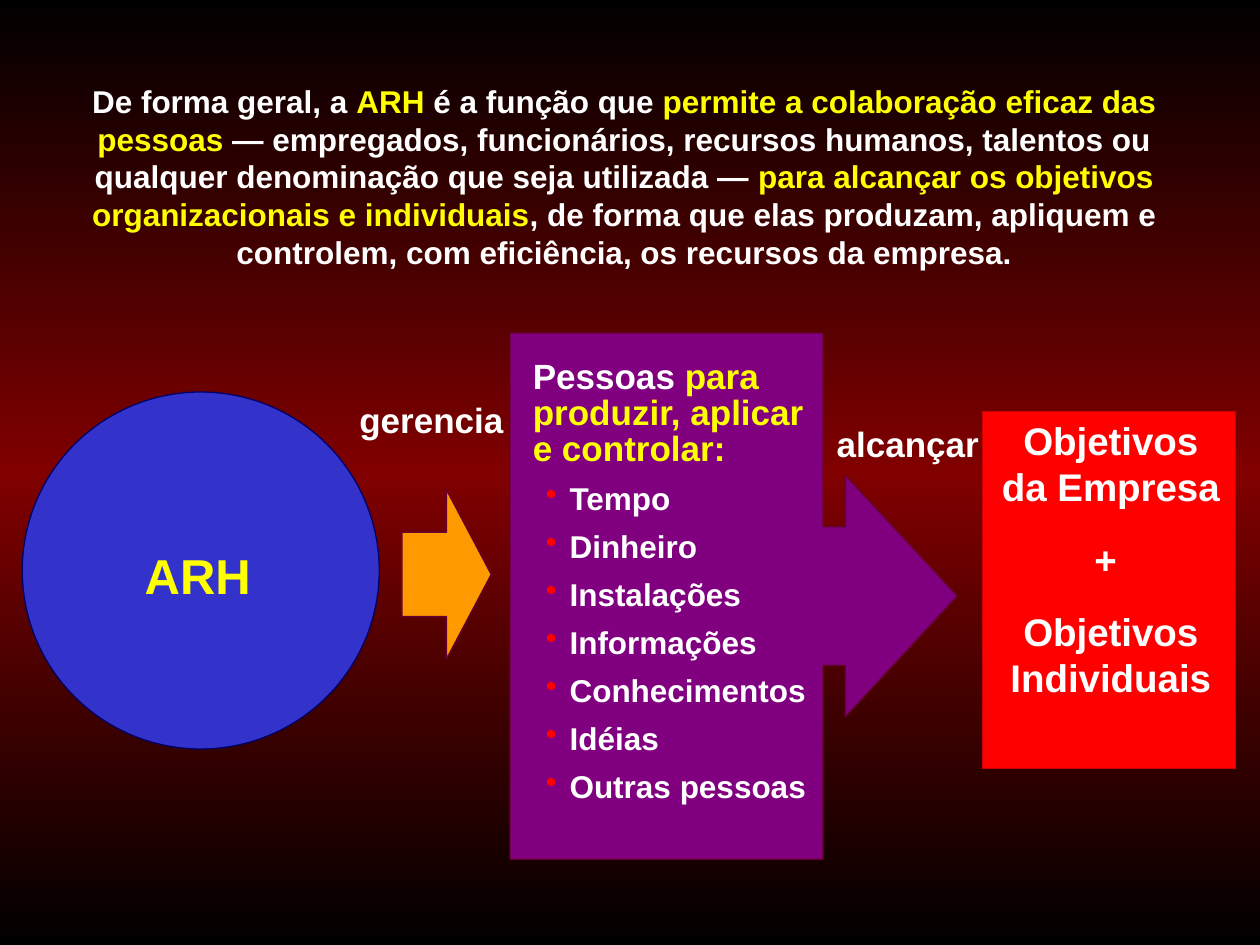
from copy import deepcopy

from pptx import Presentation
from pptx.dml.color import RGBColor
from pptx.enum.shapes import MSO_SHAPE as Kind
from pptx.enum.text import MSO_AUTO_SIZE as Fit, PP_ALIGN as Align
from pptx.oxml.ns import qn
from pptx.oxml.xmlchemy import OxmlElement as Tag
from pptx.util import Pt

HUES = {
    "black": "000000", "maroon": "800000", "white": "FFFFFF",
    "yellow": "FFFF00", "orange": "FF9900", "blue": "3333CC",
    "navy": "000066", "red": "FF0000", "brick": "CC0000",
    "purple": "800080", "plum": "660033",
}
ITEMS = ["Tempo", "Dinheiro", "Instalações", "Informações",
         "Conhecimentos", "Idéias", "Outras pessoas"]
INTRO = [
    ("De forma geral, a ", "white"),
    ("ARH ", "yellow"),
    ("é a função que ", "white"),
    ("permite a colaboração eficaz das pessoas", "yellow"),
    (" — empregados, funcionários, recursos humanos, talentos ou "
     "qualquer denominação que seja utilizada — ", "white"),
    ("para alcançar os objetivos organizacionais e individuais", "yellow"),
    (", de forma que elas produzam, apliquem e controlem, com eficiência, "
     "os recursos da empresa.", "white"),
]


def hue(name):
    return RGBColor.from_string(HUES[name])


def paint(slide):
    """Vertical gradient: black, maroon in the middle, black."""
    fill = slide.background.fill
    fill.gradient()
    fill.gradient_angle = 270
    stops = fill.gradient_stops
    for stop, name in zip(stops, ("black", "maroon")):
        stop.color.rgb = hue(name)
    stops[0].position, stops[1].position = 0, 0.5
    row = next(slide._element.iter(qn("a:gsLst")))
    last = deepcopy(row[0])
    last.set("pos", "100000")
    row.append(last)


def add_form(slide, kind, box, fill, line, adj=()):
    form = slide.shapes.add_shape(kind, *map(Pt, box))
    form.shadow.inherit = False
    form.fill.solid()
    form.fill.fore_color.rgb = hue(fill)
    form.line.color.rgb = hue(line)
    form.line.width = Pt(0.75)
    for i, part in enumerate(adj):
        form.adjustments[i] = part


def add_box(slide, box, fit=Fit.SHAPE_TO_FIT_TEXT):
    frame = slide.shapes.add_textbox(*map(Pt, box)).text_frame
    frame.word_wrap = True
    frame.auto_size = fit
    return frame


def write(para, parts, size, before, after=0, align=Align.CENTER):
    para.alignment = align
    para.space_before, para.space_after = Pt(before), Pt(after)
    for text, name in parts:
        run = para.add_run()
        run.text = text
        font = run.font
        font.name, font.size, font.bold = "Arial", Pt(size), True
        font.color.rgb = hue(name)


def add_label(slide, box, lines, size, before, name="white"):
    frame = add_box(slide, box)
    for i, text in enumerate(lines):
        para = frame.add_paragraph() if i else frame.paragraphs[0]
        write(para, [(text, name)], size, before)


def add_dot(para):
    props = para._p.get_or_add_pPr()
    props.set("marL", str(Pt(21)))
    props.set("indent", str(Pt(-13.5)))
    tint = Tag("a:buClr")
    rgb = Tag("a:srgbClr")
    rgb.set("val", HUES["red"])
    tint.append(rgb)
    dot = Tag("a:buChar")
    dot.set("char", "•")
    props.extend([tint, dot])


def add_list(slide, box):
    frame = add_box(slide, box)
    head = frame.paragraphs[0]
    head.line_spacing = 0.85
    write(head, [("Pessoas", "white"),
                 (" para produzir, aplicar e controlar:", "yellow")],
          20, 5, 5, Align.LEFT)
    for item in ITEMS:
        para = frame.add_paragraph()
        para.level = 1
        para.line_spacing = 0.85
        write(para, [(item, "white")], 18, 4.5, 4.5, Align.LEFT)
        add_dot(para)


def main():
    deck = Presentation()
    deck.slide_width, deck.slide_height = Pt(720), Pt(540)
    slide = deck.slides.add_slide(deck.slide_layouts[6])
    paint(slide)

    # ARH circle and its arrow
    add_form(slide, Kind.RIGHT_ARROW, (229.7, 280, 51, 96.5),
             "orange", "plum", (0.5, 0.5))
    add_form(slide, Kind.OVAL, (12.7, 224, 204, 204), "blue", "navy")
    add_label(slide, (19.4, 308.2, 187.2, 41), ["ARH"], 28, 17.5, "yellow")

    # Goals
    add_form(slide, Kind.RECTANGLE, (561.5, 235.2, 144.5, 204),
             "red", "brick")
    add_label(slide, (565, 234.7, 139.5, 217.4),
              ["Objetivos da Empresa", "+ ", "Objetivos Individuais"], 22, 15)

    # People and resources
    add_form(slide, Kind.RIGHT_ARROW_CALLOUT, (291.5, 190.3, 255.5, 300.7),
             "purple", "plum", (0.31, 0.27, 0.25, 0.7))
    add_list(slide, (297.4, 203, 180, 260))

    # Verbs over the arrows
    for word, left, top in (("gerencia", 195.8, 224), ("alcançar", 468, 238)):
        add_label(slide, (left, top, 101.5, 31), [word], 20, 12.5)

    # Definition
    frame = add_box(slide, (25.2, 43.2, 663, 124.6), Fit.NONE)
    write(frame.paragraphs[0], INTRO, 18, 5, 5)

    deck.save("out.pptx")


if __name__ == "__main__":
    main()
